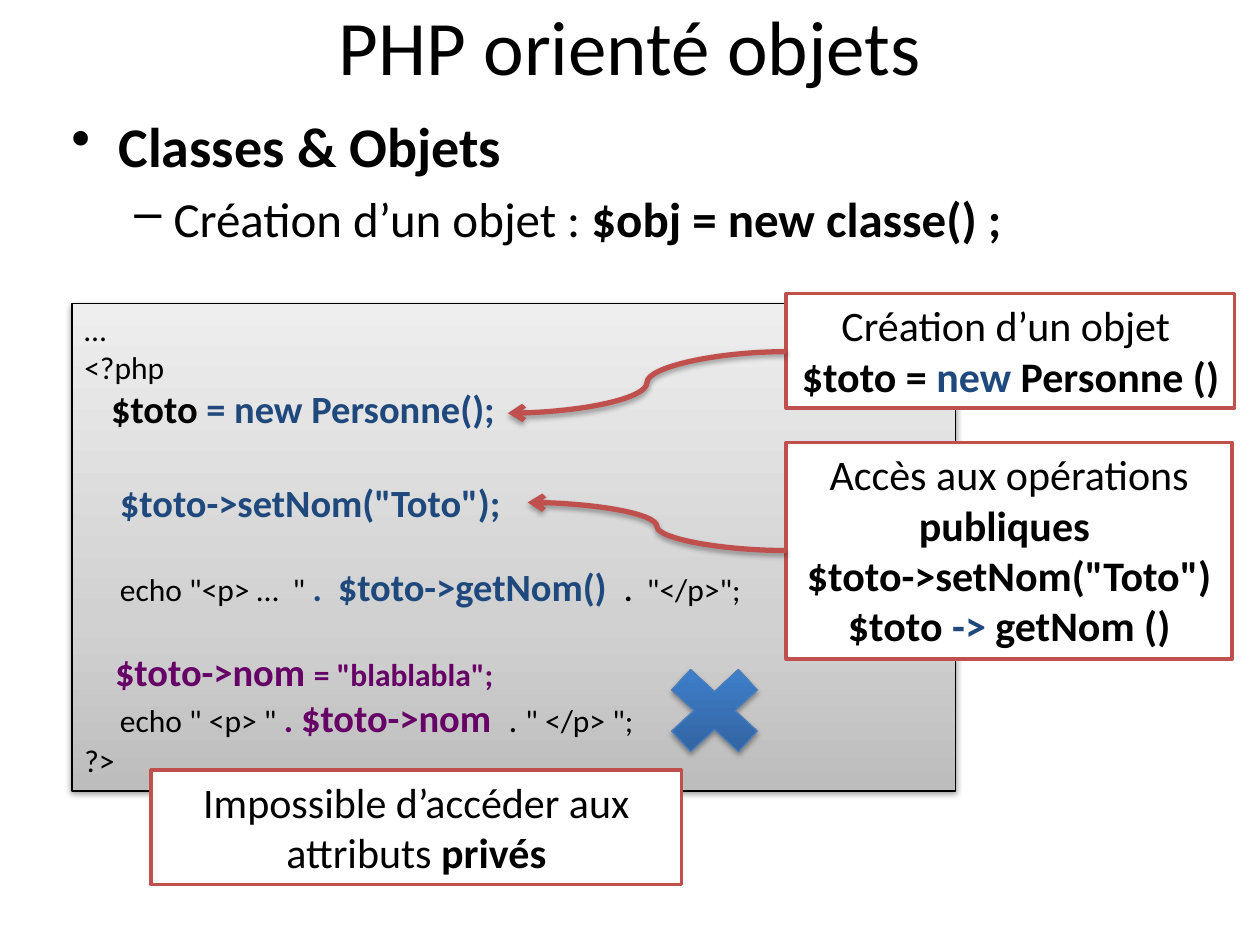
import dataclasses

import pptx
import pptx.dml.color
import pptx.enum.shapes
import pptx.enum.text
import pptx.oxml
import pptx.oxml.ns
import pptx.util
from lxml import etree

Cm, Pt = pptx.util.Cm, pptx.util.Pt
SHAPE = pptx.enum.shapes.MSO_SHAPE
ALIGN = pptx.enum.text.PP_ALIGN
ANCHOR = pptx.enum.text.MSO_ANCHOR
qn = pptx.oxml.ns.qn


@dataclasses.dataclass(frozen=True)
class Theme:
    font: str = "Calibri"
    black: str = "000000"
    white: str = "FFFFFF"
    navy: str = "1F497D"
    purple: str = "660066"
    red: str = "C0504D"
    cross_line: str = "4B7EBC"
    code_fill: tuple = ((0, "BDBDBD"), (35, "D1D1D1"), (100, "EEEEEE"))
    cross_fill: tuple = ((0, "2F5F99"), (80, "3D7CC7"), (100, "3A7CCB"))
    title: int = 44
    bullets: tuple = (32, 28)
    callout: int = 24
    code: int = 18
    code_dot: int = 20
    code_key: int = 22


def rgb(value):
    return pptx.dml.color.RGBColor.from_string(value)


def add_xml(parent, tag, **attributes):
    return etree.SubElement(parent, qn(tag), attributes)


class SlideBuilder:
    def __init__(self, slide, theme):
        self.slide, self.theme = slide, theme

    def add_runs(self, p, runs, size):
        """Each run is (text, bold, colour, size); the last three are optional."""
        p.font.name, p.font.size = self.theme.font, Pt(size)
        p.font.color.rgb = rgb(self.theme.black)
        for text, *style in runs:
            bold, color, run_size = style + [False, None, None][len(style):]
            r = p.add_run()
            r.text = text
            r.font.name = self.theme.font
            r.font.bold = bold
            r.font.size = Pt(run_size or size)
            r.font.color.rgb = rgb(color or self.theme.black)

    def paragraphs(self, tf, count):
        return [tf.paragraphs[0]] + [tf.add_paragraph() for _ in range(count - 1)]

    def shadow(self, sp, alpha=35, distance=1.8):
        spPr = sp._element.spPr
        effects = spPr.find(qn("a:effectLst"))
        if effects is None:
            effects = add_xml(spPr, "a:effectLst")
        shade = add_xml(effects, "a:outerShdw", blurRad=str(Pt(3.1)),
                        dist=str(Pt(distance)), dir="5400000", rotWithShape="0")
        color = add_xml(shade, "a:srgbClr", val=self.theme.black)
        add_xml(color, "a:alpha", val=str(alpha * 1000))

    def gradient(self, sp, stops):
        """Fill from bottom to top with (percent, colour) stops."""
        sp.fill.gradient()
        sp.fill.gradient_angle = 90
        stop_list = sp._element.spPr.find(".//" + qn("a:gsLst"))
        for old in list(stop_list):
            stop_list.remove(old)
        for percent, color in stops:
            stop = add_xml(stop_list, "a:gs", pos=str(percent * 1000))
            add_xml(stop, "a:srgbClr", val=color)

    def shape(self, kind, box, line, width):
        sp = self.slide.shapes.add_shape(kind, *map(Cm, box))
        sp.shadow.inherit = False
        sp.line.color.rgb, sp.line.width = rgb(line), Pt(width)
        return sp

    def title(self, text, box):
        sp = self.slide.shapes.title
        sp.left, sp.top, sp.width, sp.height = map(Cm, box)
        tf = sp.text_frame
        tf.vertical_anchor = ANCHOR.MIDDLE
        p = tf.paragraphs[0]
        p.alignment = ALIGN.CENTER
        self.add_runs(p, [(text,)], self.theme.title)

    def bullets(self, items, box):
        """Each item is (level, bullet, left margin, hanging indent, runs)."""
        tf = self.slide.shapes.add_textbox(*map(Cm, box)).text_frame
        tf.word_wrap = True
        for p, item in zip(self.paragraphs(tf, len(items)), items):
            level, bullet, margin, hanging, runs = item
            size = self.theme.bullets[level]
            p.level = level
            p.space_before = Pt(size * 0.2)
            self.add_runs(p, runs, size)
            pPr = p._p.get_or_add_pPr()
            pPr.set("marL", str(Cm(margin)))
            pPr.set("indent", str(-Cm(hanging)))
            char = pptx.oxml.parse_xml(
                f'<a:buChar {pptx.oxml.ns.nsdecls("a")} char="{bullet}"/>')
            pPr.find(qn("a:defRPr")).addprevious(char)

    def code(self, lines, box):
        """Each line is (indent, space before in points, runs)."""
        sp = self.shape(SHAPE.RECTANGLE, box, self.theme.black, 0.75)
        self.gradient(sp, self.theme.code_fill)
        self.shadow(sp, 38, 1.6)
        tf = sp.text_frame
        tf.word_wrap, tf.vertical_anchor = True, ANCHOR.TOP
        for p, (indent, before, runs) in zip(self.paragraphs(tf, len(lines)), lines):
            p.alignment, p.space_before = ALIGN.LEFT, Pt(before)
            self.add_runs(p, runs, self.theme.code)
            p._p.get_or_add_pPr().set("marL", str(Cm(indent)))

    def cross(self, box):
        sp = self.shape(SHAPE.MATH_MULTIPLY, box, self.theme.cross_line, 0.75)
        self.gradient(sp, self.theme.cross_fill)
        self.shadow(sp)

    def callout(self, lines, box, wrap=True):
        sp = self.shape(SHAPE.RECTANGLE, box, self.theme.red, 2)
        sp.fill.solid()
        sp.fill.fore_color.rgb = rgb(self.theme.white)
        tf = sp.text_frame
        tf.word_wrap, tf.vertical_anchor = wrap, ANCHOR.TOP
        tf.margin_left = tf.margin_right = Cm(0.1)
        for p, runs in zip(self.paragraphs(tf, len(lines)), lines):
            p.alignment = ALIGN.CENTER
            self.add_runs(p, runs, self.theme.callout)

    def arrow(self, start, end):
        sp = self.slide.shapes.add_connector(
            pptx.enum.shapes.MSO_CONNECTOR.CURVE, *map(Cm, start + end))
        sp.line.color.rgb, sp.line.width = rgb(self.theme.red), Pt(3)
        add_xml(sp.line._get_or_add_ln(), "a:tailEnd", type="arrow")
        self.shadow(sp)


def main():
    prs = pptx.Presentation()
    prs.slide_width, prs.slide_height = Cm(25.4), Cm(19.05)
    th = Theme()
    s = SlideBuilder(prs.slides.add_slide(prs.slide_layouts[5]), th)
    navy, purple, key, dot = th.navy, th.purple, th.code_key, th.code_dot

    s.title("PHP orienté objets", (1.27, -0.69, 22.86, 3.18))
    s.bullets([
        (0, "•", 0.95, 0.95, [("Classes & Objets", True)]),
        (1, "–", 2.06, 0.79, [("Création d’un objet : ",),
                              ("$obj = new classe() ;", True)]),
    ], (1.19, 2.13, 22.86, 12.57))

    s.code([
        (0, 0, [("…",)]),
        (0, 0, [("<?php",)]),
        (0.54, 0, [("$toto ", True, None, key),
                   ("= new Personne();", True, navy, key)]),
        (0.72, 27, [('$toto->setNom("Toto");', True, navy, key)]),
        (0.72, 22, [('echo "<p> …  " ',), (".  ", True, navy, dot),
                    ("$toto->getNom()  ", True, navy, key),
                    (".  ", True), ('"</p>";',)]),
        (0.62, 22, [("$toto->nom ", True, purple, key),
                    ('= "blablabla";', True, purple)]),
        (0.72, 0, [('echo " <p> " ',), (". ", True, purple, dot),
                   ("$toto->nom  ", True, purple, key),
                   (". ", False, None, dot), ('" </p> ";',)]),
        (0, 0, [("?>",)]),
    ], (1.45, 6.12, 17.81, 9.83))
    s.cross((13.11, 13.13, 2.59, 2.39))

    s.callout([
        [("Création d’un objet ",)],
        [("$toto = ", True), ("new", True, navy), (" Personne ()", True)],
    ], (15.85, 5.92, 9.04, 2.31), wrap=False)
    s.arrow((15.85, 7.09), (10.24, 8.33))
    s.callout([
        [("Accès aux opérations ",), ("publiques ", True)],
        [('$toto->setNom("Toto")', True)],
        [("$toto ", True), ("-> ", True, navy), ("getNom ()", True)],
    ], (15.85, 8.92, 8.99, 4.37))
    s.callout([[("Impossible d’accéder aux attributs ",), ("privés", True)]],
              (3.05, 15.52, 10.69, 2.31))
    s.arrow((15.85, 11.1), (10.64, 10.13))

    prs.save("out.pptx")


if __name__ == "__main__":
    main()
